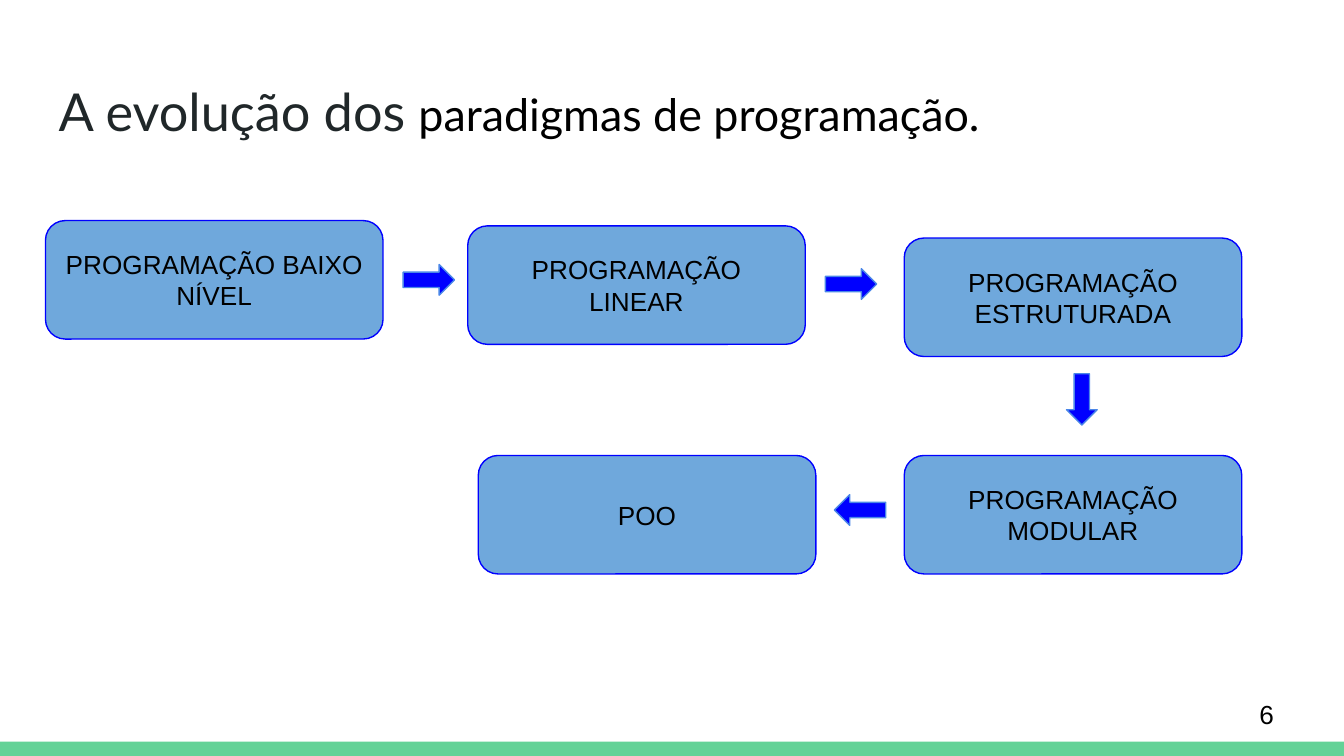
from dataclasses import dataclass

from pptx import Presentation
from pptx.dml.color import RGBColor
from pptx.enum import shapes, text
from pptx.util import Cm, Pt


@dataclass(frozen=True)
class Theme:
    black: str = "000000"
    title: str = "202729"
    bar: str = "63D297"
    box: str = "6FA8DC"
    strong_blue: str = "0000FF"
    arrow_line: str = "4A86E8"
    heading_font: str = "Lato"
    body_font: str = "Arial"
    title_size: int = 28
    subtitle_size: int = 24
    body_size: int = 14
    line_width: float = 0.75


THEME = Theme()
SLIDE_WIDTH, SLIDE_HEIGHT = 25.4, 14.29
BAR_HEIGHT = 0.27
BOX_SIZE = (6.38, 2.24)
ARROW_SIZE = (0.97, 0.58)

# Text, left and top in centimetres
STAGES = [
    ("PROGRAMAÇÃO BAIXO NÍVEL", 0.86, 4.17),
    ("PROGRAMAÇÃO LINEAR", 8.84, 4.27),
    ("PROGRAMAÇÃO ESTRUTURADA", 17.09, 4.5),
    ("PROGRAMAÇÃO MODULAR", 17.09, 8.61),
    ("POO", 9.04, 8.61),
]

# Left, top and rotation of the arrow after each stage
ARROWS = [(7.62, 5, 0), (15.6, 5.08, 0), (19.96, 7.26, 90), (15.77, 9.35, 180)]


def add_run(paragraph, words, size, color=THEME.black, font=THEME.body_font):
    run = paragraph.add_run()
    run.text = words
    run.font.size = Pt(size)
    run.font.name = font
    run.font.color.rgb = RGBColor.from_string(color)


def format_frame(frame, anchor):
    """Wrap the text, set equal margins and return the first paragraph."""
    frame.word_wrap = True
    frame.auto_size = text.MSO_AUTO_SIZE.NONE
    frame.vertical_anchor = anchor
    frame.margin_left = frame.margin_right = Cm(0.25)
    frame.margin_top = frame.margin_bottom = Cm(0.25)
    return frame.paragraphs[0]


def add_filled_shape(slide, kind, left, top, size, fill, line=None):
    shape = slide.shapes.add_shape(kind, Cm(left), Cm(top), *map(Cm, size))
    shape.shadow.inherit = False
    shape.fill.solid()
    shape.fill.fore_color.rgb = RGBColor.from_string(fill)
    if line:
        shape.line.color.rgb = RGBColor.from_string(line)
        shape.line.width = Pt(THEME.line_width)
    else:
        shape.line.fill.background()
    return shape


def add_title(slide):
    title = slide.shapes.title
    title.left, title.top = Cm(0.86), Cm(1.24)
    title.width, title.height = Cm(23.67), Cm(1.6)
    paragraph = format_frame(title.text_frame, text.MSO_ANCHOR.TOP)
    paragraph.alignment = text.PP_ALIGN.LEFT
    add_run(paragraph, "A evolução dos ", THEME.title_size,
            THEME.title, THEME.heading_font)
    add_run(paragraph, "paradigmas de programação.", THEME.subtitle_size,
            font=THEME.heading_font)


def add_page_number(slide, number):
    box = slide.shapes.add_textbox(Cm(23.55), Cm(12.95), Cm(1.52), Cm(1.09))
    paragraph = format_frame(box.text_frame, text.MSO_ANCHOR.MIDDLE)
    add_run(paragraph, number, THEME.body_size)


def add_stage(slide, words, left, top):
    box = add_filled_shape(slide, shapes.MSO_SHAPE.ROUNDED_RECTANGLE, left, top,
                           BOX_SIZE, THEME.box, THEME.strong_blue)
    paragraph = format_frame(box.text_frame, text.MSO_ANCHOR.MIDDLE)
    paragraph.alignment = text.PP_ALIGN.CENTER
    add_run(paragraph, words, THEME.body_size)


def add_arrow(slide, left, top, rotation):
    arrow = add_filled_shape(slide, shapes.MSO_SHAPE.RIGHT_ARROW, left, top,
                             ARROW_SIZE, THEME.strong_blue, THEME.arrow_line)
    arrow.rotation = rotation


def main():
    presentation = Presentation()
    presentation.slide_width = Cm(SLIDE_WIDTH)
    presentation.slide_height = Cm(SLIDE_HEIGHT)
    slide = presentation.slides.add_slide(
        presentation.slide_layouts.get_by_name("Title Only"))

    add_filled_shape(slide, shapes.MSO_SHAPE.RECTANGLE, 0,
                     SLIDE_HEIGHT - BAR_HEIGHT, (SLIDE_WIDTH, BAR_HEIGHT),
                     THEME.bar)
    add_title(slide)
    add_page_number(slide, "6")
    for stage in STAGES:
        add_stage(slide, *stage)
    for arrow in ARROWS:
        add_arrow(slide, *arrow)

    presentation.save("out.pptx")


if __name__ == "__main__":
    main()
